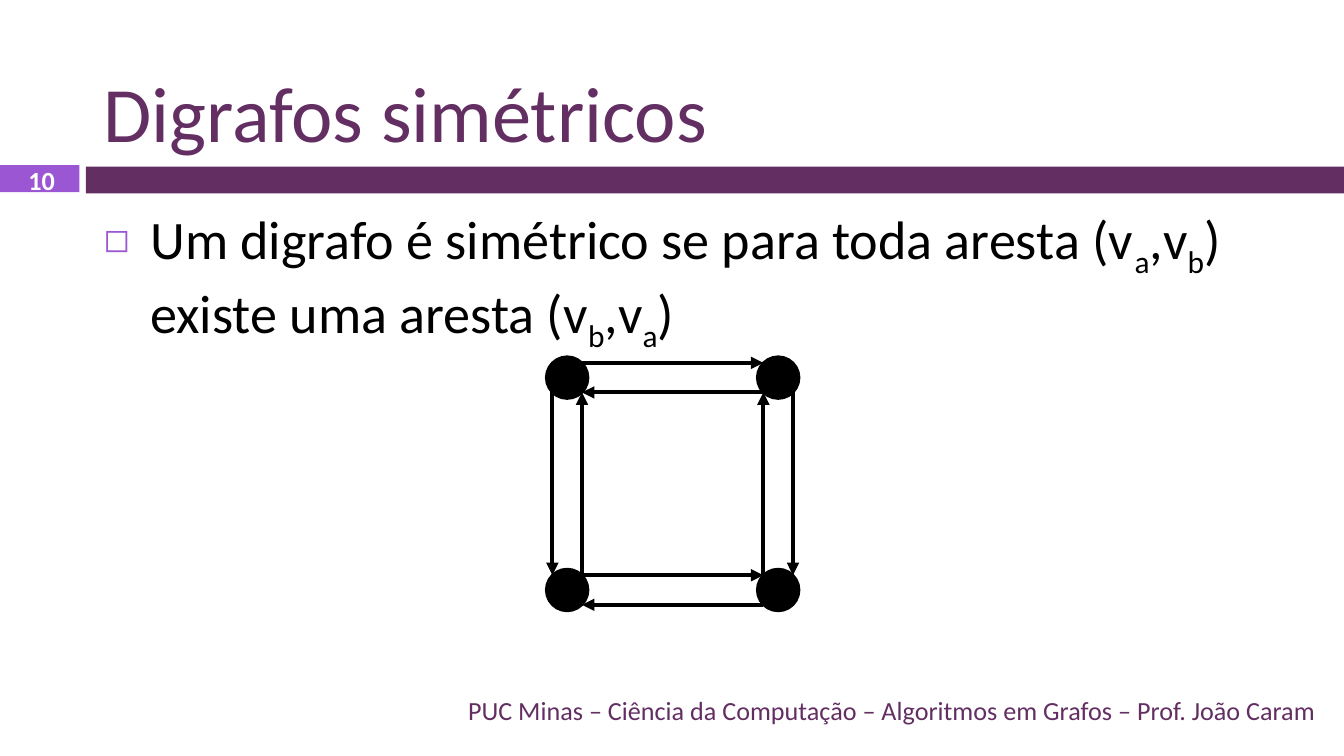
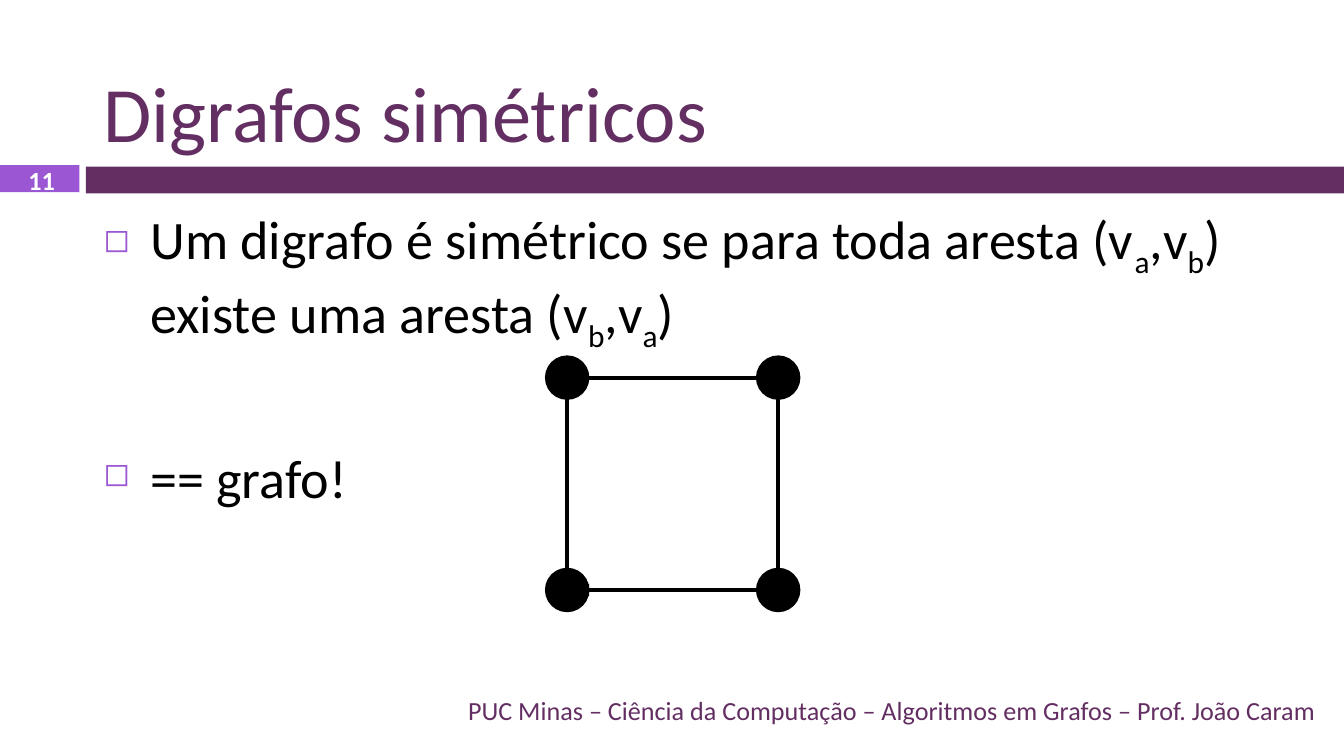
from pptx import Presentation
from pptx.dml.color import RGBColor
from pptx.enum.shapes import MSO_CONNECTOR as LINE, MSO_SHAPE as SHAPE
from pptx.enum.text import MSO_ANCHOR as ANCHOR, PP_ALIGN as ALIGN
from pptx.oxml.ns import qn
from pptx.util import Inches, Pt
from lxml.etree import SubElement

THEME = {
    "font": "Calibri",
    "plum": RGBColor.from_string("632E62"),
    "violet": RGBColor.from_string("9B57D3"),
    "white": RGBColor.from_string("FFFFFF"),
    "black": RGBColor.from_string("000000"),
    "title": 42, "body": 29, "small": 14,
    "outline": 1.5, "edge": 2.25,
}

# Content: runs are (text, is subscript)
TITLE = "Digrafos simétricos"
FOOTER = "PUC Minas – Ciência da Computação – Algoritmos em Grafos – Prof. João Caram"
DEFINITION = [
    ("Um digrafo é simétrico se para toda aresta (v", False), ("a", True),
    (",v", False), ("b", True), (") existe uma aresta (v", False),
    ("b", True), (",v", False), ("a", True), (")", False),
]
CONCLUSION = [("== grafo!", False)]

# Graph: an edge end is (column, row, x offset, y offset) from a vertex centre
COLUMNS, ROWS = (4.22, 5.79), (2.81, 4.39)
DOT = 0.31
D = 0.11
PAIRED_EDGES = [
    ((0, 0, D, -D), (1, 0, -D, -D)),
    ((0, 0, -D, D), (0, 1, -D, -D)),
    ((1, 0, D, D), (1, 1, D, -D)),
    ((1, 1, -D, D), (0, 1, D, D)),
    ((1, 0, -D, D), (0, 0, D, D)),
    ((0, 1, D, -D), (0, 0, D, D)),
    ((1, 1, -D, -D), (1, 0, -D, D)),
    ((0, 1, D, -D), (1, 1, -D, -D)),
]
SINGLE_EDGES = [
    ((0, 0, 0, 0.16), (0, 1, 0, -0.06)),
    ((1, 0, 0, 0.16), (1, 1, 0, -0.06)),
    ((1, 1, -0.16, 0), (0, 1, 0.07, 0)),
    ((0, 0, D, 0), (1, 0, 0, 0)),
]
SLIDES = [
    {"number": "10", "body": [DEFINITION], "edges": PAIRED_EDGES},
    {"number": "11", "body": [DEFINITION, CONCLUSION], "edges": SINGLE_EDGES},
]
PARAGRAPH_GAP = 49

# Shared formats: box, then font values
FORMATS = {
    "title": {"at": (0.67, 0.13, 9.22, 1.1), "anchor": ANCHOR.BOTTOM, "align": ALIGN.LEFT,
              "font": {"size": Pt(THEME["title"])}, "color": "plum"},
    "body": {"at": (0.67, 1.48, 9.22, 3.58), "anchor": ANCHOR.TOP, "align": ALIGN.LEFT,
             "font": {"size": Pt(THEME["body"])}, "color": "black"},
    "number": {"at": (0.02, 1.24, 0.58, 0.2), "anchor": ANCHOR.MIDDLE, "align": ALIGN.CENTER,
               "font": {"size": Pt(THEME["small"]), "bold": True}, "color": "white"},
    "footer": {"at": (0.67, 5.13, 9.22, 0.3), "anchor": ANCHOR.MIDDLE, "align": ALIGN.RIGHT,
               "font": {"size": Pt(THEME["small"])}, "color": "plum"},
}
BANDS = [((0.64, 1.24, 9.36, 0.2), "plum"), ((0, 1.23, 0.59, 0.2), "violet")]


def inches(values):
    return [Inches(v) for v in values]


def add_solid(slide, kind, at, color, outline=None):
    sp = slide.shapes.add_shape(kind, *inches(at))
    sp.shadow.inherit = False
    sp.fill.solid()
    sp.fill.fore_color.rgb = THEME[color]
    if outline:
        sp.line.color.rgb = THEME[color]
        sp.line.width = Pt(outline)
    else:
        sp.line.fill.background()


def add_bullet(p):
    pPr = p._p.get_or_add_pPr()
    pPr.set("marL", str(Inches(0.35)))
    pPr.set("indent", str(-Inches(0.35)))
    color = SubElement(pPr, qn("a:buClr"))
    SubElement(color, qn("a:srgbClr"), val=str(THEME["violet"]))
    SubElement(pPr, qn("a:buSzPct"), val="60000")
    SubElement(pPr, qn("a:buChar"), char="◻")


def add_text(slide, role, paragraphs, bullets=False):
    fmt = FORMATS[role]
    tf = slide.shapes.add_textbox(*inches(fmt["at"])).text_frame
    tf.word_wrap = True
    tf.vertical_anchor = fmt["anchor"]
    for i, runs in enumerate(paragraphs):
        p = tf.add_paragraph() if i else tf.paragraphs[0]
        p.alignment = fmt["align"]
        if bullets:
            add_bullet(p)
        if i:
            p.space_before = Pt(PARAGRAPH_GAP)
        for text, subscript in runs:
            r = p.add_run()
            r.text = text
            r.font.name = THEME["font"]
            r.font.color.rgb = THEME[fmt["color"]]
            for name, value in fmt["font"].items():
                setattr(r.font, name, value)
            if subscript:
                r.font._element.set("baseline", "-25000")


def add_arrow(slide, start, end):
    points = [v for col, row, dx, dy in (start, end)
              for v in (COLUMNS[col] + dx, ROWS[row] + dy)]
    cxn = slide.shapes.add_connector(LINE.STRAIGHT, *inches(points))
    cxn.line.color.rgb = THEME["black"]
    cxn.line.width = Pt(THEME["edge"])
    SubElement(cxn.line._get_or_add_ln(), qn("a:tailEnd"), type="triangle")
    SubElement(cxn._element.spPr, qn("a:effectLst"))


def add_graph(slide, edges):
    for y in ROWS:
        for x in COLUMNS:
            add_solid(slide, SHAPE.OVAL, (x - DOT / 2, y - DOT / 2, DOT, DOT),
                      "black", THEME["outline"])
    for start, end in edges:
        add_arrow(slide, start, end)


def main():
    prs = Presentation()
    # Widescreen, 16:9
    prs.slide_width = Inches(10)
    prs.slide_height = Inches(10 * 9 / 16)
    for content in SLIDES:
        slide = prs.slides.add_slide(prs.slide_layouts[6])
        # Bands, title, page number and footer
        for at, color in BANDS:
            add_solid(slide, SHAPE.RECTANGLE, at, color)
        for role, text in (("title", TITLE), ("number", content["number"]),
                           ("footer", FOOTER)):
            add_text(slide, role, [[(text, False)]])
        # Bullets and graph
        add_text(slide, "body", content["body"], bullets=True)
        add_graph(slide, content["edges"])
    prs.save("out.pptx")


if __name__ == "__main__":
    main()
